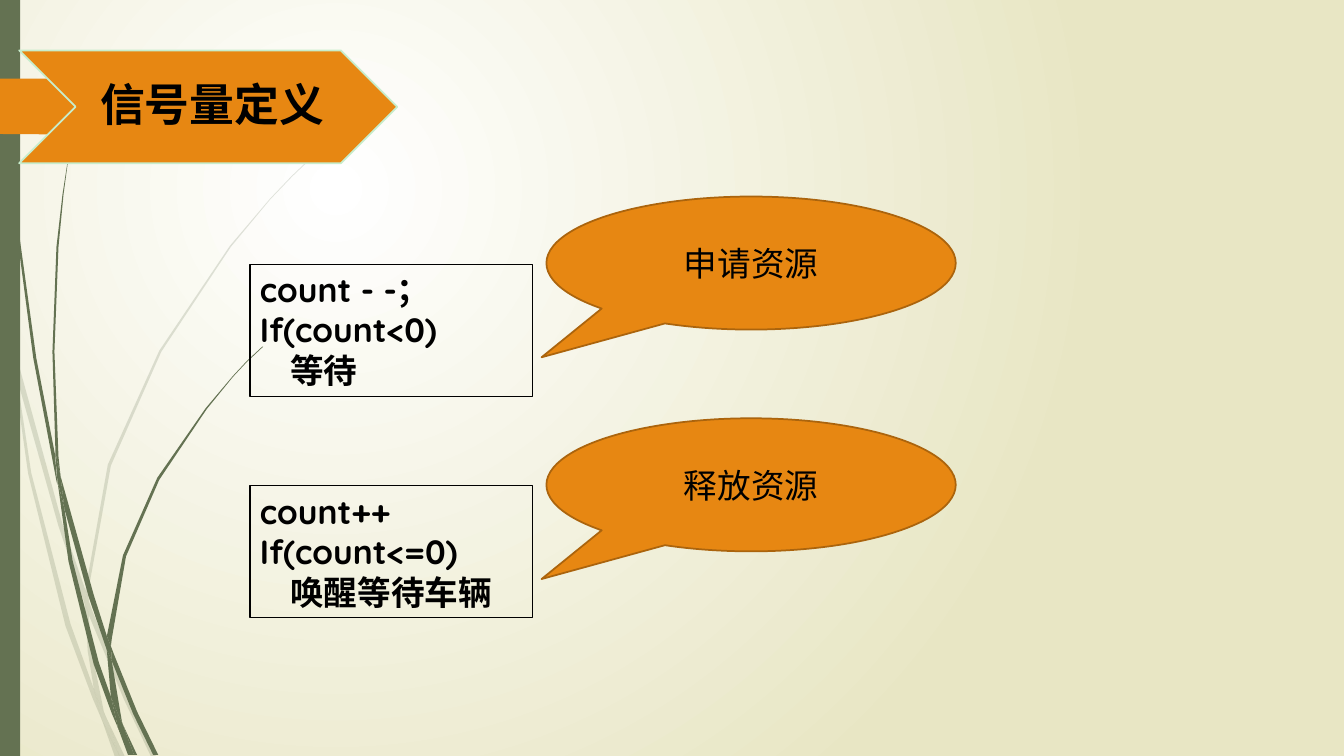
from dataclasses import dataclass

from lxml.etree import SubElement
from pptx import Presentation
from pptx.dml.color import RGBColor
from pptx.enum.shapes import MSO_SHAPE
from pptx.enum.text import MSO_ANCHOR, MSO_AUTO_SIZE, PP_ALIGN
from pptx.oxml.ns import qn
from pptx.util import Inches, Pt


@dataclass(frozen=True)
class Theme:
    font: str = "Quicksand"
    title_size: int = 32
    body_size: int = 24
    ink: str = "000000"
    green: str = "647252"
    orange: str = "E78712"
    orange_edge: str = "AB640D"
    banner_edge: str = "C7EDCC"
    glow: str = "FFFFFF"
    sand: str = "E8E6C4"


THEME = Theme()

PALE_STRANDS = [
    [(0.11, 3.5), (0.09, 3.22), (0, 2.82), (0, 2.99), (0.1, 3.44)],
    [(0.58, 5.22), (0.84, 5.99), (0.85, 5.86), (0.62, 5.2), (0.14, 3.45), (0.17, 3.76)],
    [(0.92, 6.07), (0.88, 5.96), (0.88, 6.1), (1.23, 6.94), (1.5, 7.51), (1.55, 7.51),
     (1.27, 6.92)],
    [(1.19, 7.51), (1.24, 7.51), (1.05, 7.11)],
    [(0.93, 6.83), (0.7, 6.19), (0.31, 4.69), (0.17, 3.76), (0.11, 3.5), (0.28, 4.7),
     (0.65, 6.21), (0.92, 6.93), (1.01, 7.14), (0.99, 7.07)],
    [(0.84, 5.99), (0.87, 6.46), (0.93, 6.83), (0.96, 6.92), (1.05, 7.11), (1.03, 7.06),
     (0.91, 6.46), (0.88, 6.1), (0.88, 6.08)],
    [(0.88, 5.84), (1.1, 4.62), (1.6, 3.49), (2.29, 2.45), (2.68, 1.98), (2.9, 1.75),
     (3.12, 1.54), (3.12, 1.53), (2.89, 1.75), (2.68, 1.97), (2.28, 2.44), (1.58, 3.48),
     (1.07, 4.61), (0.85, 5.84), (0.85, 5.86), (0.88, 5.96)],
    [(1.01, 7.14), (1.14, 7.51), (1.19, 7.51)],
    [(0.88, 6.08), (0.88, 6.1), (0.88, 5.96), (0.85, 5.86), (0.84, 5.99)],
    [(0.96, 6.92), (0.93, 6.83), (0.99, 7.07), (1.01, 7.14), (1.19, 7.51), (1.05, 7.11)],
]

DARK_STRANDS = [
    [(0.07, 1.1), (0.17, 2.33), (0.33, 3.55), (0.56, 4.77), (0.57, 4.81), (0.55, 4.57),
     (0.55, 4.53), (0.36, 3.55), (0.19, 2.32), (0.08, 1.09), (0.05, 0.48), (0.04, 0),
     (0.03, 0), (0.04, 0.48)],
    [(0.88, 5.92), (1.06, 6.45), (1.06, 6.33), (1.06, 6.31), (0.93, 5.9), (0.6, 4.72),
     (0.64, 5.05)],
    [(1.13, 6.49), (1.1, 6.41), (1.11, 6.56), (1.32, 7.08), (1.52, 7.49), (1.57, 7.49),
     (1.36, 7.06)],
    [(1.1, 6.91), (0.98, 6.57), (0.72, 5.56), (0.64, 5.05), (0.57, 4.77), (0.68, 5.57),
     (0.93, 6.59), (1.11, 7.08), (1.17, 7.22), (1.16, 7.17)],
    [(0.6, 4.72), (0.58, 4.53), (0.54, 3.49), (0.58, 2.45), (0.63, 1.93), (0.7, 1.41),
     (0.62, 1.93), (0.56, 2.45), (0.52, 3.49), (0.55, 4.49)],
    [(1.33, 7.49), (1.36, 7.49), (1.22, 7.19)],
    [(0.57, 4.77), (0.64, 5.05), (0.6, 4.72), (0.55, 4.49), (0.55, 4.53)],
    [(1.11, 6.33), (1.25, 5.52), (1.58, 4.76), (2.05, 4.06), (2.31, 3.74), (2.45, 3.59),
     (2.61, 3.44), (2.6, 3.44), (2.45, 3.58), (2.31, 3.73), (2.04, 4.05), (1.56, 4.74),
     (1.22, 5.51), (1.06, 6.31), (1.1, 6.41)],
    [(1.17, 7.22), (1.27, 7.49), (1.31, 7.49)],
    [(1.06, 6.45), (1.1, 6.91), (1.16, 7.06), (1.22, 7.19), (1.21, 7.16), (1.11, 6.56),
     (1.09, 6.51)],
    [(1.06, 6.45), (1.09, 6.51), (1.11, 6.56), (1.1, 6.41), (1.06, 6.31), (1.06, 6.33)],
    [(1.16, 7.06), (1.1, 6.91), (1.16, 7.17), (1.17, 7.22), (1.3, 7.49), (1.33, 7.49),
     (1.22, 7.19)],
]

BANNER_TAIL = [(1.73, 1.08), (1.48, 1.33), (1.46, 1.34), (0, 1.33), (0, 0.78),
               (1.46, 0.78), (1.48, 0.79), (1.73, 1.04)]

OPERATIONS = [
    (["count - -；", "If(count<0)"], "等待", "申请资源"),
    (["count++", "If(count<=0)"], "唤醒等待车辆", "释放资源"),
]


def paint(shape, fill=None, line=None, width=1.25, alpha=None):
    shape.shadow.inherit = False
    if fill:
        shape.fill.solid()
        shape.fill.fore_color.rgb = RGBColor.from_string(fill)
    else:
        shape.fill.background()
    if alpha:
        color = shape.fill._xPr.find(f"{qn('a:solidFill')}/{qn('a:srgbClr')}")
        SubElement(color, qn("a:alpha"), val=str(alpha * 1000))
    if line:
        shape.line.color.rgb = RGBColor.from_string(line)
        shape.line.width = Pt(width)
    else:
        shape.line.fill.background()


def add_preset(shapes, preset, box, **look):
    shape = shapes.add_shape(preset, *map(Inches, box))
    paint(shape, **look)
    return shape


def add_outline(shapes, points, **look):
    start, *rest = [(Inches(x), Inches(y)) for x, y in points]
    builder = shapes.build_freeform(*start)
    builder.add_line_segments(rest, close=True)
    paint(builder.convert_to_shape(), **look)


def write(paragraph, text, size=THEME.body_size, bold=False, align=PP_ALIGN.LEFT,
          indent=0, spacing=None):
    paragraph.alignment = align
    paragraph.line_spacing = spacing
    if indent:
        paragraph._p.get_or_add_pPr().set("marL", str(Inches(indent)))
    run = paragraph.add_run()
    run.text = text
    run.font.name = THEME.font
    run.font.size = Pt(size)
    run.font.bold = bold
    run.font.color.rgb = RGBColor.from_string(THEME.ink)


def add_background(slide):
    fill = slide.background.fill
    fill.gradient()
    for stop, color in zip(fill.gradient_stops, (THEME.glow, THEME.sand)):
        stop.color.rgb = RGBColor.from_string(color)
    gradient = slide._element.find(f".//{qn('p:bgPr')}/{qn('a:gradFill')}")
    for stop, position in zip(gradient.iter(qn("a:gs")), (0, 100000)):
        stop.set("pos", str(position))
    gradient.remove(gradient.find(qn("a:lin")))
    circle = SubElement(gradient, qn("a:path"), path="circle")
    SubElement(circle, qn("a:fillToRect"), l="50000", t="50000", r="100000", b="100000")


def add_strands(slide, strands, alpha=None):
    group = slide.shapes.add_group_shape()
    for strand in strands:
        add_outline(group.shapes, strand, fill=THEME.green, alpha=alpha)


def add_banner(slide, title):
    add_outline(slide.shapes, BANNER_TAIL, fill=THEME.orange)
    banner = slide.shapes.add_group_shape().shapes
    add_preset(banner, MSO_SHAPE.CHEVRON, (0.19, 0.5, 3.75, 1.12),
               fill=THEME.orange, line=THEME.banner_edge)
    frame = banner.add_textbox(*map(Inches, (0.75, 0.5, 2.62, 1.12))).text_frame
    frame.word_wrap = True
    frame.vertical_anchor = MSO_ANCHOR.MIDDLE
    frame.margin_left = Inches(0.14)
    frame.margin_right = Inches(0.05)
    write(frame.paragraphs[0], title, size=THEME.title_size, bold=True,
          align=PP_ALIGN.CENTER, spacing=0.9)


def add_code(slide, top, lines, action):
    code = add_preset(slide.shapes, MSO_SHAPE.RECTANGLE, (2.48, top, 2.8, 1.31),
                      line=THEME.ink, width=0.75)
    frame = code.text_frame
    frame.word_wrap = True
    frame.auto_size = MSO_AUTO_SIZE.SHAPE_TO_FIT_TEXT
    frame.vertical_anchor = MSO_ANCHOR.TOP
    write(frame.paragraphs[0], lines[0], bold=True)
    write(frame.add_paragraph(), lines[1], bold=True)
    write(frame.add_paragraph(), action, bold=True, indent=0.3)


def add_callout(slide, top, text):
    callout = add_preset(slide.shapes, MSO_SHAPE.OVAL_CALLOUT, (5.42, top, 4.06, 1.32),
                         fill=THEME.orange, line=THEME.orange_edge)
    callout.adjustments[0] = -0.512
    callout.adjustments[1] = 0.708
    callout.text_frame.vertical_anchor = MSO_ANCHOR.MIDDLE
    write(callout.text_frame.paragraphs[0], text, align=PP_ALIGN.CENTER)


def main():
    deck = Presentation()
    deck.slide_width, deck.slide_height = Inches(13.33), Inches(7.5)
    slide = deck.slides.add_slide(deck.slide_layouts[6])
    add_background(slide)
    add_strands(slide, PALE_STRANDS, alpha=20)
    add_strands(slide, DARK_STRANDS)
    add_preset(slide.shapes, MSO_SHAPE.RECTANGLE, (0, 0, 0.2, 7.5), fill=THEME.green)
    add_banner(slide, "信号量定义")
    for row, (lines, action, purpose) in enumerate(OPERATIONS):
        add_code(slide, 2.62 + 2.2 * row, lines, action)
        add_callout(slide, 1.95 + 2.2 * row, purpose)
    deck.save("out.pptx")


main()
